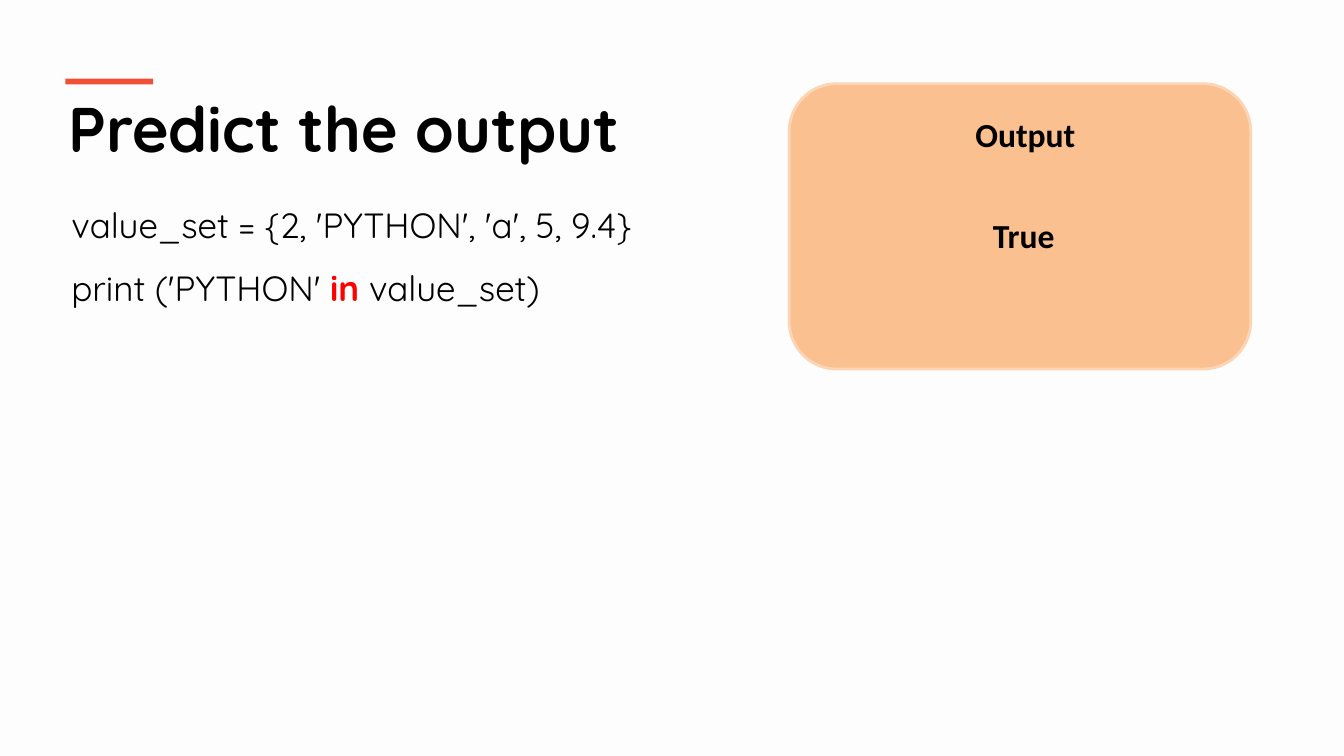
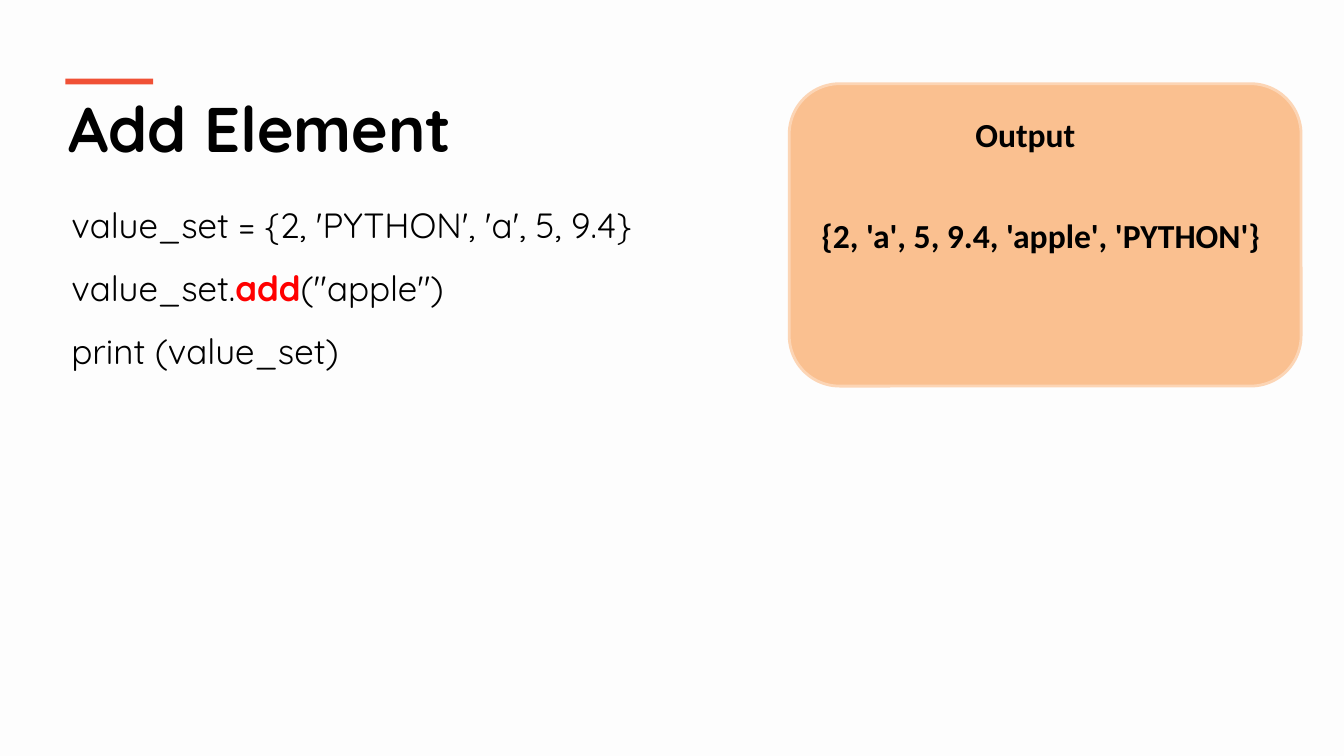
from pptx import Presentation
from pptx.dml.color import RGBColor
from pptx.enum.shapes import MSO_SHAPE
from pptx.enum.text import MSO_AUTO_SIZE
from pptx.util import Cm, Pt

BACKGROUND = "FDFDFD"
INK = "000000"
ACCENT = "F05136"
KEYWORD = "FF0000"
PANEL_FILL = "FAC090"
PANEL_EDGE = "FCD5B5"
HEADING_FONT = "Quicksand"
OUTPUT_FONT = "Calibri"


def color(hex_code):
    return RGBColor.from_string(hex_code)


def add_text(slide, lines, left, top, width, height, *, font, size,
             bold=False, wrap=True, spacing=None):
    """Add lines of text; every second part of a line is a highlighted keyword."""
    box = slide.shapes.add_textbox(Cm(left), Cm(top), Cm(width), Cm(height))
    frame = box.text_frame
    frame.word_wrap = wrap
    frame.auto_size = MSO_AUTO_SIZE.SHAPE_TO_FIT_TEXT
    for index, parts in enumerate(lines):
        paragraph = frame.add_paragraph() if index else frame.paragraphs[0]
        if spacing:
            paragraph.line_spacing = spacing
        for position, part in enumerate(parts):
            highlighted = position % 2 == 1
            run = paragraph.add_run()
            run.text = part
            run.font.name = font
            run.font.size = Pt(size)
            run.font.bold = bold or highlighted
            run.font.color.rgb = color(KEYWORD if highlighted else INK)


def add_block(slide, preset, left, top, width, height, fill, edge=None):
    block = slide.shapes.add_shape(preset, Cm(left), Cm(top), Cm(width), Cm(height))
    block.shadow.inherit = False
    block.fill.solid()
    block.fill.fore_color.rgb = color(fill)
    if edge:
        block.line.color.rgb = color(edge)
        block.line.width = Pt(2)
    else:
        block.line.fill.background()


def add_heading(slide, title):
    add_text(slide, [[title]], 1.47, 2.13, 30.94, 2.18,
             font=HEADING_FONT, size=45, bold=True)
    add_block(slide, MSO_SHAPE.RECTANGLE, 1.65, 1.98, 2.21, 0.15, ACCENT)


def add_code(slide, lines):
    add_text(slide, lines, 1.55, 4.47, 30.84, 0.25 + 1.6 * len(lines),
             font=HEADING_FONT, size=25, spacing=1.5)


def add_output(slide, result, result_left, result_width, panel_width, panel_height):
    add_block(slide, MSO_SHAPE.ROUNDED_RECTANGLE, 19.89, 2.11,
              panel_width, panel_height, PANEL_FILL, PANEL_EDGE)
    for label, left, top, width in (("Output", 24.33, 2.74, 3.07),
                                    (result, result_left, 5.28, result_width)):
        add_text(slide, [[label]], left, top, width, 1.27,
                 font=OUTPUT_FONT, size=24, bold=True, wrap=False)


def add_example(presentation, title, code, **output):
    slide = presentation.slides.add_slide(presentation.slide_layouts[6])
    add_heading(slide, title)
    add_code(slide, code)
    add_output(slide, **output)


def main():
    presentation = Presentation()
    presentation.slide_width = Cm(33.87)
    presentation.slide_height = Cm(19.05)
    backdrop = presentation.slide_master.background.fill
    backdrop.solid()
    backdrop.fore_color.rgb = color(BACKGROUND)

    definition = ["value_set = {2, 'PYTHON', 'a', 5, 9.4}"]
    add_example(
        presentation, "Predict the output",
        [definition, ["print ('PYTHON' ", "in ", "value_set)"]],
        result="True", result_left=24.77, result_width=2.08,
        panel_width=11.63, panel_height=7.19)
    add_example(
        presentation, "Add Element",
        [definition, ["value_set.", "add", '("apple")'], ["print (value_set)"]],
        result="{2, 'a', 5, 9.4, 'apple', 'PYTHON'}",
        result_left=20.45, result_width=11.73,
        panel_width=12.9, panel_height=7.62)

    presentation.save("out.pptx")


if __name__ == "__main__":
    main()
